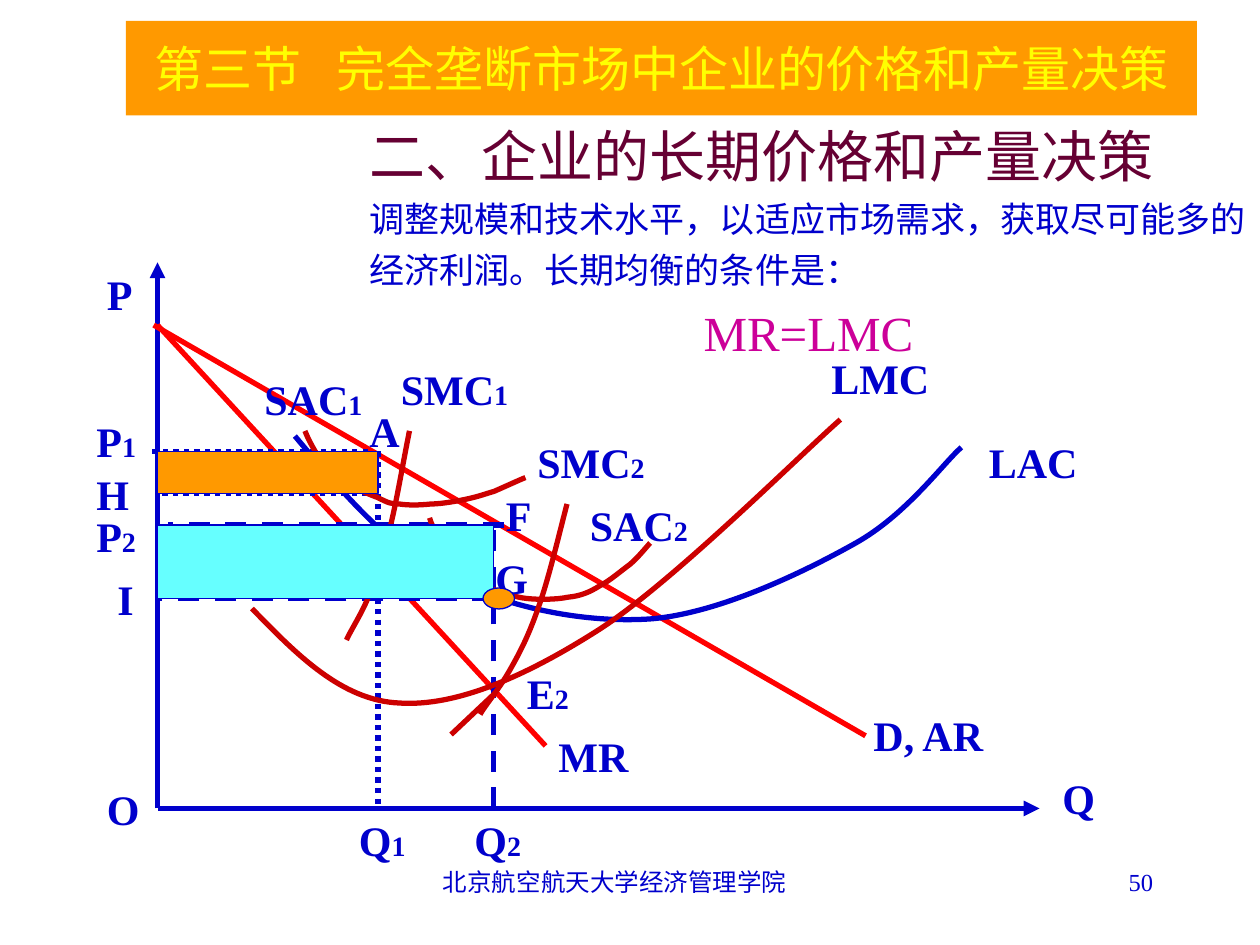
from dataclasses import dataclass
from math import cos, radians, sin
from typing import Optional

from lxml import etree
from pptx import Presentation
from pptx.dml.color import RGBColor
from pptx.enum.dml import MSO_LINE
from pptx.enum.shapes import MSO_CONNECTOR, MSO_SHAPE
from pptx.enum.text import MSO_ANCHOR, MSO_AUTO_SIZE, PP_ALIGN
from pptx.oxml.ns import qn
from pptx.util import Inches, Pt

STRAIGHT = MSO_CONNECTOR.STRAIGHT
RECTANGLE, OVAL = MSO_SHAPE.RECTANGLE, MSO_SHAPE.OVAL
DOT, DASH = MSO_LINE.ROUND_DOT, MSO_LINE.DASH
LEFT, CENTER, RIGHT, JUSTIFY = PP_ALIGN.LEFT, PP_ALIGN.CENTER, PP_ALIGN.RIGHT, PP_ALIGN.JUSTIFY
MIDDLE = MSO_ANCHOR.MIDDLE
GROW = MSO_AUTO_SIZE.SHAPE_TO_FIT_TEXT

FONT = "Times New Roman"
COLORS = {
    "blue": "0000CC", "red": "FF0000", "crimson": "CC0000", "orange": "FF9900",
    "cyan": "66FFFF", "yellow": "FFFF00", "plum": "660033", "magenta": "CC0099",
}
GRID = 12

ORIGIN_X, ORIGIN_Y = 1.25, 77 / GRID
Q1, Q2 = 3, 47 / GRID
P1, H, P2, I = 43 / GRID, 47 / GRID, 50 / GRID, 57 / GRID


@dataclass
class Segment:
    start: tuple
    end: tuple
    color: str = "blue"
    dash: Optional[MSO_LINE] = None
    arrow: bool = False


@dataclass
class Curve:
    color: str
    points: list
    center: tuple = (0, 0)
    tilt: float = 0


@dataclass
class Label:
    text: str
    left: float
    top: float
    width: float
    index: str = ""


@dataclass
class Area:
    kind: MSO_SHAPE
    frame: tuple
    color: str


AXES = [
    Segment((ORIGIN_X, ORIGIN_Y), (ORIGIN_X, 25 / GRID), arrow=True),
    Segment((ORIGIN_X, ORIGIN_Y), (8.25, ORIGIN_Y), arrow=True),
]
REVENUE_LINES = [
    Segment((1.22, 2.58), (6.87, 5.84), "red"),
    Segment((1.25, 2.58), (4.33, 5.92), "red"),
]
GUIDES = [
    Segment((Q1, P1), (Q1, ORIGIN_Y), dash=DOT),
    Segment((2.92, P1), (1.17, P1), dash=DOT),
    Segment((Q1, H), (ORIGIN_X, H), dash=DOT),
    Segment((Q2, ORIGIN_Y), (Q2, P2), dash=DASH),
    Segment((4, P2), (1.33, P2), dash=DASH),
    Segment((Q2, I), (ORIGIN_X, I), dash=DASH),
]
SMC2_TAIL = Segment((3.93, 5.5), (3.58, 5.83), "crimson")

LAC = Curve("blue", [
    (2.34, 3.46), (2.71, 3.9), (3.08, 4.34), (3.55, 4.58), (4.02, 4.82), (4.64, 4.95),
    (5.18, 4.91), (5.72, 4.86), (6.38, 4.54), (6.79, 4.31), (7.2, 4.08), (7.49, 3.67),
    (7.63, 3.55)], (5.04, 4.05), -6.3)
LMC = Curve("crimson", [
    (2, 4.83), (2.35, 5.19), (2.71, 5.56), (3.17, 5.58), (3.62, 5.61), (4.17, 5.37),
    (4.75, 5), (5.33, 4.63), (6.35, 3.61), (6.67, 3.33)])
SMC1 = Curve("crimson", [
    (3.25, 3.42), (3.19, 3.72), (3.14, 4.03), (3.08, 4.25), (3.03, 4.47), (2.97, 4.61),
    (2.92, 4.75), (2.86, 4.89), (2.78, 5.01), (2.75, 5.08)])
SMC2 = Curve("crimson", [
    (4.5, 4), (4.42, 4.31), (4.35, 4.61), (4.27, 4.83), (4.19, 5.06), (4.12, 5.19),
    (4.04, 5.33), (3.96, 5.47), (3.85, 5.6), (3.81, 5.67)])
SAC1 = Curve("crimson", [
    (2.42, 3.42), (2.44, 3.47), (2.46, 3.51), (2.5, 3.58), (2.54, 3.64), (2.58, 3.73),
    (2.67, 3.79), (2.75, 3.85), (2.92, 3.92), (3, 3.95), (3.08, 3.99), (3.1, 4),
    (3.17, 4), (3.24, 4.01), (3.32, 4.01), (3.42, 4), (3.51, 4), (3.67, 3.97),
    (3.75, 3.95), (3.83, 3.93), (3.85, 3.92), (3.92, 3.9), (3.99, 3.87), (4.12, 3.81),
    (4.17, 3.79)])
SAC2 = Curve("crimson", [
    (3.41, 4.11), (3.42, 4.15), (3.44, 4.19), (3.49, 4.28), (3.55, 4.36), (3.68, 4.53),
    (3.75, 4.6), (3.83, 4.67), (3.85, 4.65), (3.92, 4.68), (3.99, 4.7), (4.08, 4.74),
    (4.18, 4.75), (4.27, 4.76), (4.41, 4.76), (4.51, 4.74), (4.61, 4.73), (4.68, 4.7),
    (4.76, 4.65), (4.84, 4.61), (4.93, 4.53), (5, 4.48), (5.07, 4.42), (5.14, 4.33),
    (5.16, 4.31)], (4.29, 4.42), -1.9)

LABELS = [
    Label("P", 0.75, 2.08, 0.5), Label("O", 0.75, 6.17, 0.5), Label("Q", 8.33, 6.08, 0.42),
    Label("D, AR", 6.83, 5.58, 1.17), Label("MR", 4.33, 5.75, 0.83),
    Label("LAC", 7.75, 3.42, 1), Label("LMC", 6.5, 2.75, 1.08),
    Label("SMC", 3.08, 2.83, 1.17, "1"), Label("SAC", 2, 2.92, 1.08, "1"),
    Label("SMC", 4.17, 3.42, 1.17, "2"), Label("SAC", 4.58, 3.92, 1.08, "2"),
    Label("A", 2.83, 3.17, 0.42), Label("P", 0.67, 3.25, 0.75, "1"),
    Label("H", 0.67, 3.67, 0.5), Label("P", 0.67, 4, 0.58, "2"),
    Label("I", 0.83, 4.5, 0.58), Label("G", 3.83, 4.33, 0.67), Label("F", 3.92, 3.83, 0.5),
    Label("E", 4.08, 5.25, 0.75, "2"), Label("Q", 2.75, 6.42, 0.67, "1"),
    Label("Q", 3.67, 6.42, 0.83, "2"),
]
AREAS = [
    Area(RECTANGLE, (ORIGIN_X, P1, Q1 - ORIGIN_X, H - P1), "orange"),
    Area(RECTANGLE, (ORIGIN_X, P2, Q2 - ORIGIN_X, I - P2), "cyan"),
    Area(OVAL, (3.83, 4.67, 0.25, 0.17), "orange"),
]


def rgb(name: str) -> RGBColor:
    return RGBColor.from_string(COLORS[name])


def on_grid(*values: float) -> list:
    return [Inches(round(value * GRID) / GRID) for value in values]


def add_span(para, text: str, *, size: float = 24, color: str = "blue", bold: bool = False,
             spacing: float = 0) -> None:
    span = para.add_run()
    span.text = text
    span.font.name, span.font.size, span.font.bold = FONT, Pt(size), bold
    span.font.color.rgb = rgb(color)
    if spacing:
        span._r.get_or_add_rPr().set("spc", str(int(spacing * 100)))


def add_box(page, left: float, top: float, width: float, height: float):
    box = page.shapes.add_textbox(*on_grid(left, top, width, height))
    box.text_frame.word_wrap = True
    return box.text_frame


def draw_segment(page, segment: Segment) -> None:
    line = page.shapes.add_connector(STRAIGHT, *map(Inches, segment.start + segment.end))
    line.line.width, line.line.color.rgb = Pt(3), rgb(segment.color)
    if segment.dash is not None:
        line.line.dash_style = segment.dash
    properties = line._element.spPr
    if segment.arrow:
        etree.SubElement(properties.find(qn("a:ln")), qn("a:tailEnd"), type="triangle")
    etree.SubElement(properties, qn("a:effectLst"))


def level(curve: Curve) -> list:
    angle, (mid_x, mid_y) = radians(-curve.tilt), curve.center
    return [(Inches(mid_x + (x - mid_x) * cos(angle) - (y - mid_y) * sin(angle)),
             Inches(mid_y + (x - mid_x) * sin(angle) + (y - mid_y) * cos(angle)))
            for x, y in curve.points]


def draw_curve(page, curve: Curve) -> None:
    start, *knots = level(curve)
    builder = page.shapes.build_freeform(*start)
    builder.add_line_segments(knots, close=False)
    shape = builder.convert_to_shape()
    steps = list(shape._element.spPr.iter(qn("a:lnTo")))
    for first in range(0, len(steps), 3):
        bend = etree.SubElement(steps[first].getparent(), qn("a:cubicBezTo"))
        for step in steps[first:first + 3]:
            bend.append(step[0])
            step.getparent().remove(step)
    shape.rotation = curve.tilt
    shape.shadow.inherit = False
    shape.fill.background()
    shape.line.width, shape.line.color.rgb = Pt(3), rgb(curve.color)


def draw_area(page, area: Area, outlined: bool = True):
    shape = page.shapes.add_shape(area.kind, *on_grid(*area.frame))
    shape.shadow.inherit = False
    shape.fill.solid()
    shape.fill.fore_color.rgb = rgb(area.color)
    if outlined:
        shape.line.width, shape.line.color.rgb = Pt(0.75), rgb("blue")
    else:
        shape.line.fill.background()
    return shape


def draw_label(page, label: Label) -> None:
    frame = add_box(page, label.left, label.top, label.width, 0.5)
    frame.auto_size = GROW
    add_span(frame.paragraphs[0], label.text, bold=True)
    if label.index:
        add_span(frame.paragraphs[0], label.index, size=16, bold=True)


def draw_headings(page) -> None:
    banner = draw_area(page, Area(RECTANGLE, (1, 0.17, 8.5, 0.75), "orange"), outlined=False)
    banner.text_frame.vertical_anchor = MIDDLE
    title = banner.text_frame.paragraphs[0]
    title.alignment = CENTER
    for text, spacing in (("第三节", 0), (" ", 14), ("完全垄断市场中企业的价格和产量决策", 0)):
        add_span(title, text, size=28, color="yellow", spacing=spacing)

    frame = add_box(page, 2.83, 0.92, 7.17, 1.83)
    body = [
        ("二、企业的长期价格和产量决策", 32, "plum", JUSTIFY, 0),
        ("调整规模和技术水平，以适应市场需求，获取尽可能多的", 20, "blue", JUSTIFY, 5),
        ("经济利润。长期均衡的条件是：", 20, "blue", JUSTIFY, 5),
        ("MR=LMC", 28, "magenta", CENTER, 7),
    ]
    for number, (text, size, color, alignment, before) in enumerate(body):
        para = frame.add_paragraph() if number else frame.paragraphs[0]
        para.alignment, para.space_before = alignment, Pt(before)
        properties = para._p.get_or_add_pPr()
        properties.set("marL", str(Inches(0.38)))
        properties.set("indent", str(Inches(-0.38)))
        add_span(para, text, size=size, color=color)


def draw_footer(page) -> None:
    for text, left, width, alignment in (
            ("北京航空航天大学经济管理学院", 3.42, 3.17, LEFT), ("50", 7.17, 2.08, RIGHT)):
        para = add_box(page, left, 6.83, width, 0.5).paragraphs[0]
        para.alignment = alignment
        add_span(para, text, size=14)


def main() -> None:
    deck = Presentation()
    deck.slide_width, deck.slide_height = Inches(10), Inches(7.5)
    page = deck.slides.add_slide(deck.slide_layouts[6])
    draw_footer(page)
    draw_headings(page)
    for segment in AXES + REVENUE_LINES + GUIDES + [SMC2_TAIL]:
        draw_segment(page, segment)
    for curve in (LAC, LMC, SMC1, SAC2, SMC2):
        draw_curve(page, curve)
    for label in LABELS:
        draw_label(page, label)
    draw_curve(page, SAC1)
    for area in AREAS:
        draw_area(page, area)
    deck.save("out.pptx")


if __name__ == "__main__":
    main()
